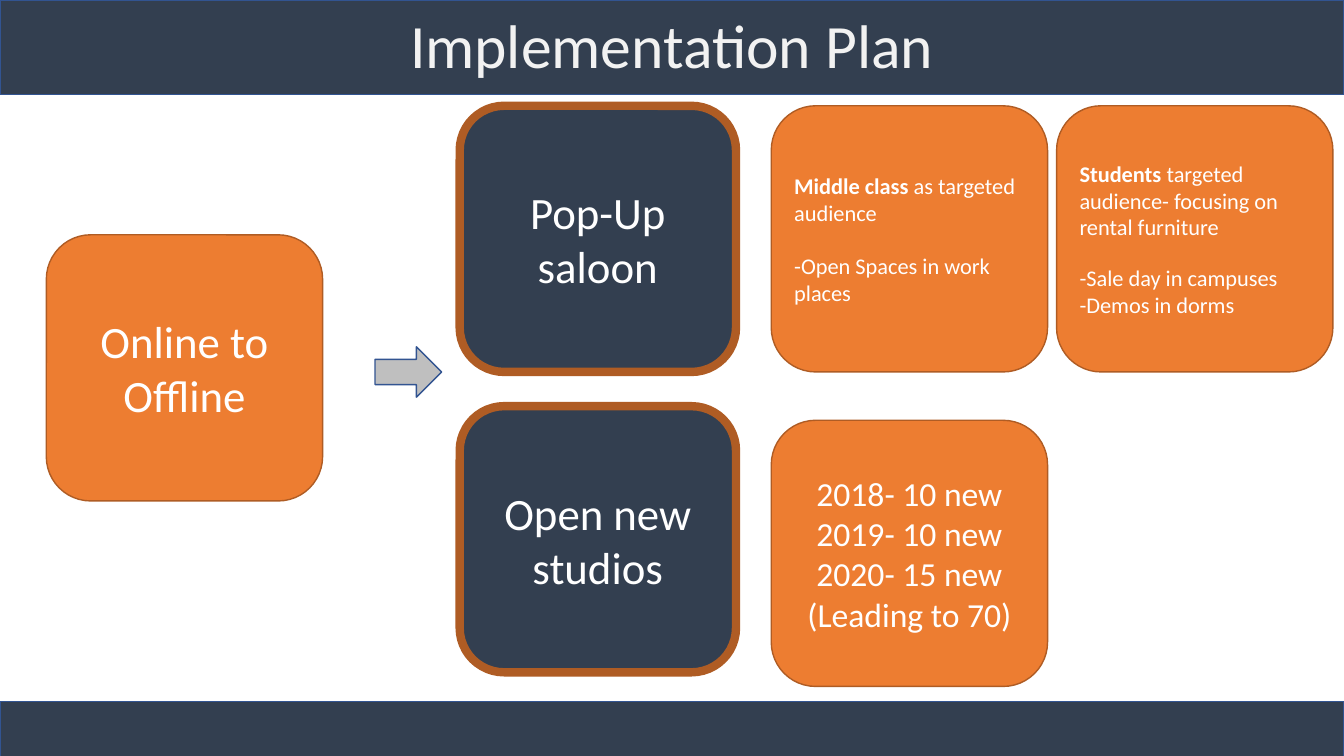
from pptx import Presentation
from pptx.dml.color import RGBColor
from pptx.enum import shapes, text
from pptx.util import Inches, Pt

NAVY, ORANGE, RUST, BLUE = "333F50", "ED7D31", "AF5C24", "325491"
WHITE, OFF_WHITE, GREY = "FFFFFF", "F2F2F2", "BFBFBF"
CARD_WIDTH, CARD_HEIGHT = 2.74, 2.64
CENTER, LEFT = text.PP_ALIGN.CENTER, text.PP_ALIGN.LEFT


def color(value):
    return RGBColor.from_string(value)


def set_all(target, values):
    for name, value in values.items():
        setattr(target, name, value)


def add_block(page, kind, place, fill, line, weight=1):
    block = page.shapes.add_shape(kind, *map(Inches, place))
    block.shadow.inherit = False
    block.fill.solid()
    block.fill.fore_color.rgb = color(fill)
    block.line.color.rgb = color(line)
    block.line.width = Pt(weight)
    return block


def write(box, paragraphs, size, align=CENTER, ink=WHITE, **spacing):
    frame = box.text_frame
    set_all(frame, {"word_wrap": True, "vertical_anchor": text.MSO_ANCHOR.MIDDLE})
    for index, (spans, gap) in enumerate(paragraphs):
        para = frame.add_paragraph() if index else frame.paragraphs[0]
        set_all(para, {"alignment": align, "space_before": Pt(gap), **spacing})
        for words, bold in spans:
            span = para.add_run()
            span.text = words
            set_all(span.font, {"name": "Calibri", "size": Pt(size), "bold": bold})
            span.font.color.rgb = color(ink)


def plain(*lines):
    return [([(line, False)], 0) for line in lines]


def add_card(page, left, top, paragraphs, size, align=CENTER, fill=ORANGE, weight=1):
    place = (left, top, CARD_WIDTH, CARD_HEIGHT)
    card = add_block(page, shapes.MSO_SHAPE.ROUNDED_RECTANGLE, place, fill, RUST, weight)
    write(card, paragraphs, size, align)


def add_title(page, words):
    box = page.shapes.add_textbox(*map(Inches, (0, 0.02, 13.33, 0.92)))
    write(box, plain(words), 44, ink=OFF_WHITE, line_spacing=0.9)


def add_arrow(page):
    arrow = add_block(page, shapes.MSO_SHAPE.DOWN_ARROW, (3.8, 3.36, 0.5, 0.66), GREY, BLUE)
    arrow.rotation = 270


def main():
    deck = Presentation()
    set_all(deck, {"slide_width": Inches(13.33), "slide_height": Inches(7.5)})
    page = deck.slides.add_slide(deck.slide_layouts[6])

    for top, height in ((6.96, 0.63), (0, 0.94)):
        add_block(page, shapes.MSO_SHAPE.RECTANGLE, (0, top, 13.33, height), NAVY, BLUE)
    add_title(page, "Implementation Plan")

    add_card(page, 0.46, 2.33, plain("Online to Offline"), 32)
    for top, words in ((1.05, "Pop-Up saloon"), (4.03, "Open new studios")):
        add_card(page, 4.56, top, plain(words), 32, fill=NAVY, weight=6)

    middle_class = [
        ([("Middle class", True), (" as targeted audience", False)], 0),
        ([("-Open Spaces in work places", False)], 19),
    ]
    students = [
        ([("Students", True), (" targeted audience- focusing on rental furniture", False)], 0),
        ([("-Sale day in campuses", False)], 17),
        ([("-Demos in dorms", False)], 0),
    ]
    for left, audience in ((7.65, middle_class), (10.48, students)):
        add_card(page, left, 1.05, audience, 16, LEFT)

    openings = plain("2018- 10 new", "2019- 10 new", "2020- 15 new", "(Leading to 70)")
    add_card(page, 7.65, 4.17, openings, 24)
    add_arrow(page)
    deck.save("out.pptx")


if __name__ == "__main__":
    main()
